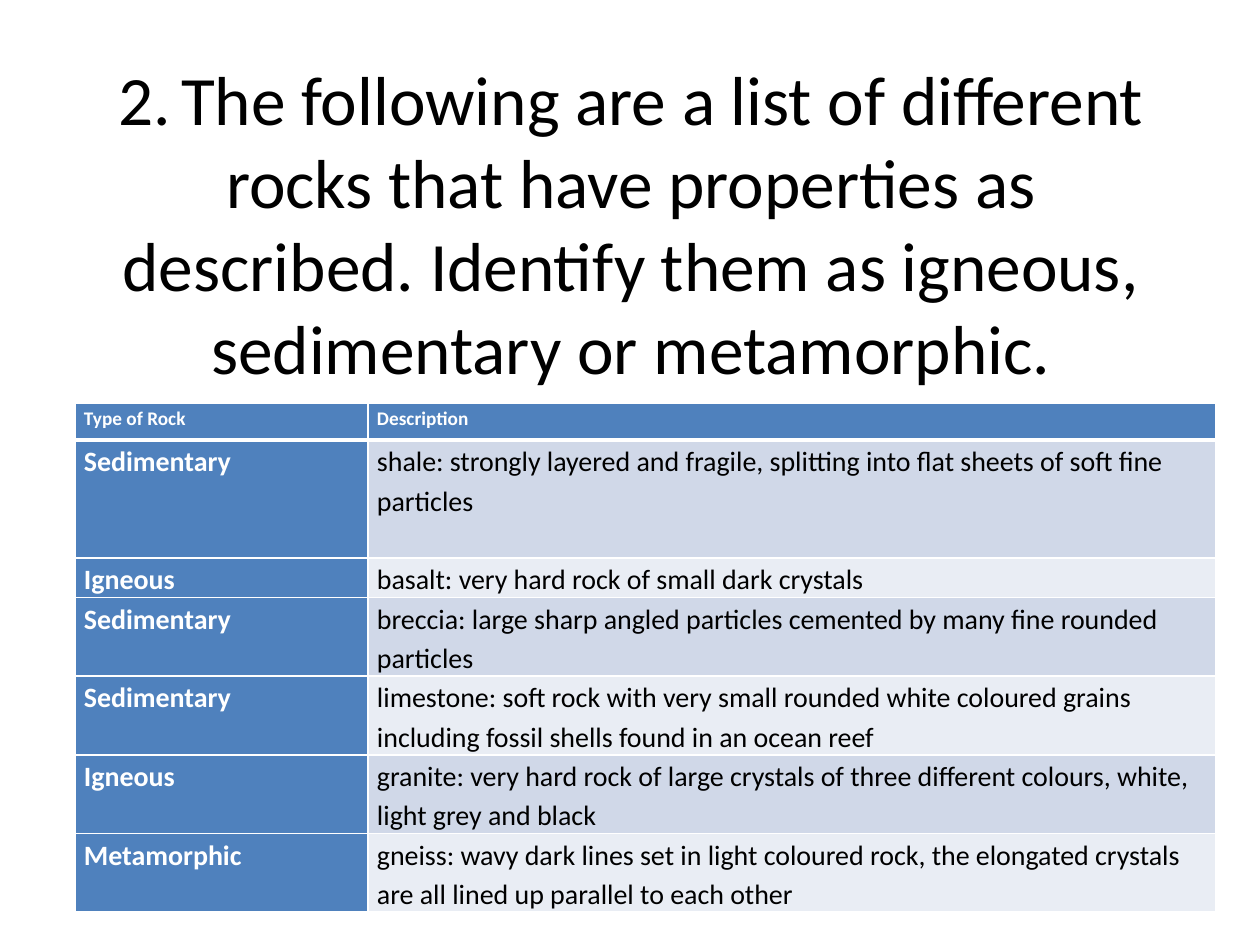
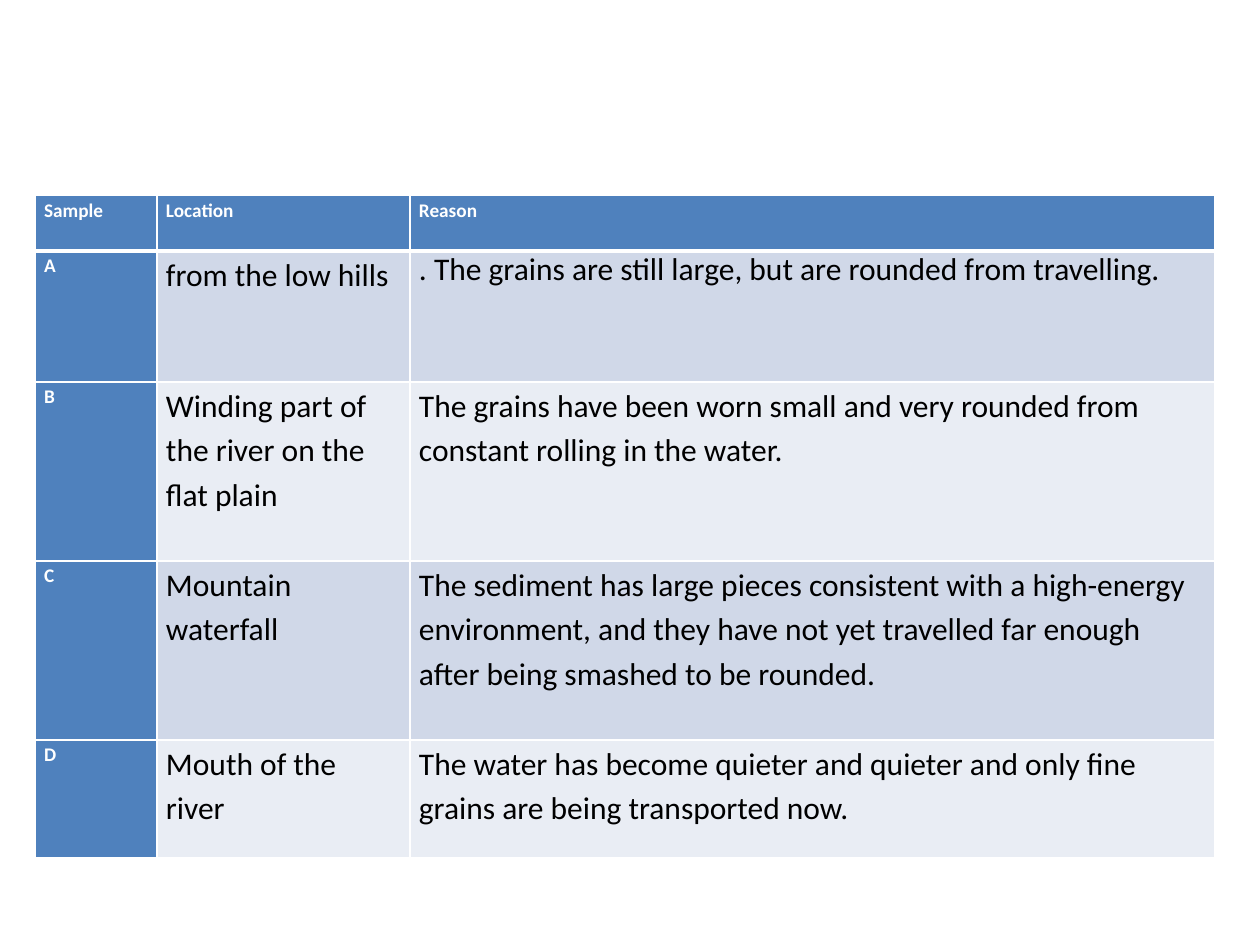
from dataclasses import dataclass
from lxml.etree import SubElement
from pptx import Presentation
from pptx.dml.color import RGBColor
from pptx.enum.text import MSO_ANCHOR, MSO_AUTO_SIZE, PP_ALIGN
from pptx.oxml.ns import qn
from pptx.util import Emu, Pt


@dataclass(frozen=True)
class Theme:
    font: str = "Calibri"
    white: str = "FFFFFF"
    black: str = "000000"
    blue: str = "4F81BD"
    bands: tuple = ("D0D8E8", "E9EDF4")
    title: float = 39.6
    head: int = 11
    rock: int = 16
    place: int = 18
    thin: int = 1
    thick: int = 3
    lead: float = 1.15


THEME = Theme()
SCALE = 914400 / 126

ROCKS = [
    ("Type of Rock", "Description"),
    ("Sedimentary", "shale: strongly layered and fragile, splitting into flat sheets of soft fine particles"),
    ("Igneous", "basalt: very hard rock of small dark crystals"),
    ("Sedimentary", "breccia: large sharp angled particles cemented by many fine rounded particles"),
    ("Sedimentary", "limestone: soft rock with very small rounded white coloured grains including fossil shells found in an ocean reef"),
    ("Igneous", "granite: very hard rock of large crystals of three different colours, white, light grey and black"),
    ("Metamorphic", "gneiss: wavy dark lines set in light coloured rock, the elongated crystals are all lined up parallel to each other"),
]

PLACES = [
    ("Sample", "Location", "Reason"),
    ("A", "from the low hills", ". The grains are still large, but are rounded from travelling."),
    ("B", "Winding part of the river on the flat plain", "The grains have been worn small and very rounded from constant rolling in the water."),
    ("C", "Mountain waterfall", "The sediment has large pieces consistent with a high-energy environment, and they have not yet travelled far enough after being smashed to be rounded."),
    ("D", "Mouth of the river", "The water has become quieter and quieter and only fine grains are being transported now."),
]


def px(count):
    return Emu(round(count * SCALE))


def add_text(frame, text, size, tint, bold=False):
    para = frame.paragraphs[0]
    run = para.add_run()
    run.text = text
    font = run.font
    font.name = THEME.font
    font.size = Pt(size)
    font.bold = bold
    font.color.rgb = RGBColor.from_string(tint)
    return para


def add_title(slide, box, text):
    title = slide.shapes.title
    title.left, title.top, title.width, title.height = map(px, box)
    frame = title.text_frame
    frame.auto_size = MSO_AUTO_SIZE.NONE
    frame.word_wrap = True
    frame.vertical_anchor = MSO_ANCHOR.MIDDLE
    frame.margin_bottom = px(90)
    add_text(frame, text, THEME.title, THEME.black).alignment = PP_ALIGN.CENTER


def edge_cell(cell, row):
    top = THEME.thick if row == 1 else THEME.thin
    base = THEME.thick if row == 0 else THEME.thin
    sides = {"lnL": THEME.thin, "lnR": THEME.thin, "lnT": top, "lnB": base}
    props = cell._tc.get_or_add_tcPr()
    for side, width in sides.items():
        line = SubElement(props, qn(f"a:{side}"), w=str(Pt(width)))
        fill = SubElement(line, qn("a:solidFill"))
        SubElement(fill, qn("a:srgbClr"), val=THEME.white)


def add_grid(slide, spot, cols, rows, data, key_size, text_size):
    left, top = map(px, spot)
    frame = slide.shapes.add_table(len(rows), len(cols), left, top, px(sum(cols)), px(sum(rows)))
    table = frame.table
    for col, width in zip(table.columns, cols):
        col.width = px(width)
    for row, height in zip(table.rows, rows):
        row.height = px(height)
    for r, line in enumerate(data):
        for c, text in enumerate(line):
            cell = table.cell(r, c)
            label = r == 0 or c == 0
            edge_cell(cell, r)
            cell.fill.solid()
            shade = THEME.blue if label else THEME.bands[(r - 1) % 2]
            cell.fill.fore_color.rgb = RGBColor.from_string(shade)
            cell.margin_left = cell.margin_right = px(9)
            cell.margin_top = cell.margin_bottom = 0
            size = THEME.head if r == 0 else key_size if c == 0 else text_size
            tint = THEME.white if label else THEME.black
            para = add_text(cell.text_frame, text, size, tint, label)
            para.line_spacing = THEME.lead
    return table


def rock_slide(deck):
    slide = deck.slides.add_slide(deck.slide_layouts[5])
    add_title(slide, (64, 185, 1134, 158),
              "2.\tThe following are a list of different rocks that have properties as described. "
              "Identify them as igneous, sedimentary or metamorphic.")
    add_grid(slide, (75, 403), (293, 848), (37, 118, 37) + (77,) * 4,
             ROCKS, THEME.rock, THEME.rock)


def place_slide(deck):
    slide = deck.slides.add_slide(deck.slide_layouts[6])
    table = add_grid(slide, (35, 195), (122, 253, 805), (56, 131, 179, 179, 118),
                     PLACES, THEME.head, THEME.place)
    para = table.cell(1, 2).text_frame.paragraphs[0]
    para.line_spacing = 1.0
    para.space_after = Pt(4)


def main():
    deck = Presentation()
    deck.slide_width, deck.slide_height = px(1260), px(945)
    rock_slide(deck)
    place_slide(deck)
    deck.save("out.pptx")


if __name__ == "__main__":
    main()
